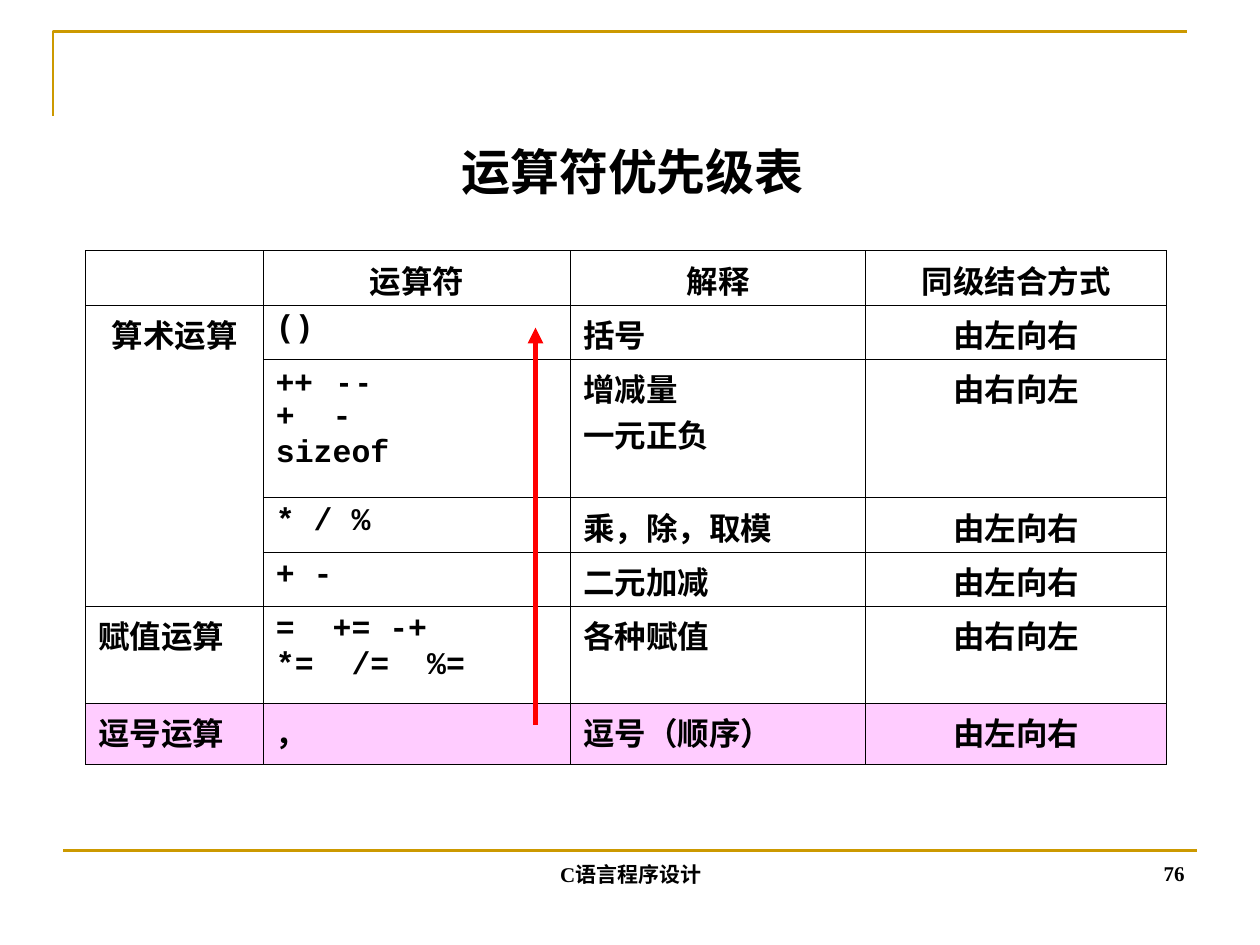
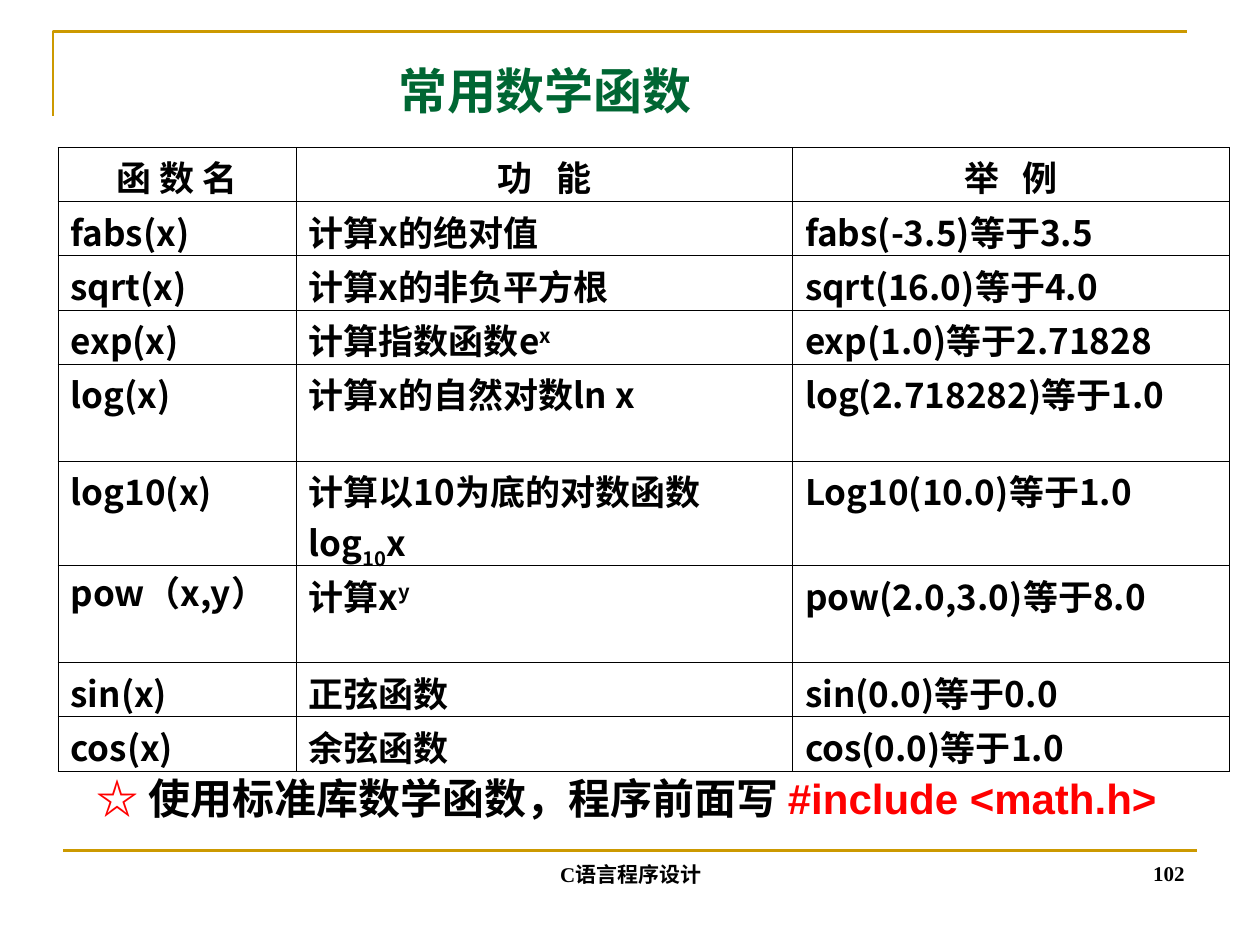
from lxml import etree
from pptx import Presentation
from pptx.dml.color import RGBColor
from pptx.enum import shapes, text
from pptx.oxml import ns
from pptx.util import Inches, Pt

GOLD, BLACK, RED, GREEN, PINK = "CC9900", "000000", "FF0000", "006633", "FFCCFF"
SERIF, SANS, MONO, CJK = "Times New Roman", "Arial", "Courier New", "Noto Sans CJK SC"
LEFT, CENTER, RIGHT = text.PP_ALIGN.LEFT, text.PP_ALIGN.CENTER, text.PP_ALIGN.RIGHT


def color(value):
    return RGBColor.from_string(value)


def inches(values):
    return [Inches(value) for value in values]


def add_xml(parent, tag, **attributes):
    return etree.SubElement(parent, ns.qn(tag), **attributes)


class Page:
    """The current slide with the style that all slides share."""

    def __init__(self, deck, number):
        self.slide = deck.slides.add_slide(deck.slide_layouts[5])
        self.shapes = self.slide.shapes
        self.frame()
        self.text_box((3.42, 6.59, 3.17, 0.5), [("C语言程序设计", {})], CENTER,
                      text.MSO_ANCHOR.BOTTOM, size=12)
        self.text_box((7.17, 6.58, 2.33, 0.5), [(str(number), {})], RIGHT,
                      text.MSO_ANCHOR.BOTTOM, size=12)

    def frame(self):
        """Corner bracket above and rule over the footer."""
        builder = self.shapes.build_freeform(Inches(0.42), Inches(0.92))
        corners = [(0.42, 0.25), (9.42, 0.25)]
        builder.add_line_segments([inches(point) for point in corners], close=False)
        bracket = builder.convert_to_shape()
        bracket.shadow.inherit = False
        bracket.fill.background()
        bracket.line.color.rgb = color(GOLD)
        bracket.line.width = Pt(1.5)
        self.line((0.5, 6.75), (9.5, 6.75), GOLD, 1.5)

    def line(self, start, end, tint, width, arrow=False):
        connector = self.shapes.add_connector(
            shapes.MSO_CONNECTOR.STRAIGHT, *inches(start + end))
        connector.line.color.rgb = color(tint)
        connector.line.width = Pt(width)
        if arrow:
            add_xml(connector.line._get_or_add_ln(), "a:tailEnd", type="triangle")
        add_xml(connector._element.spPr, "a:effectLst")

    def fill_paragraph(self, para, spans, align=LEFT, **style):
        """Fill a paragraph with (text, changes to the style) spans."""
        para.alignment = align
        for words, changes in spans:
            look = {"size": 18, "font": SERIF, "tint": BLACK, **style, **changes}
            span = para.add_run()
            span.text = words
            span.font.size = Pt(look["size"])
            span.font.bold = True
            span.font.color.rgb = color(look["tint"])
            span.font.name = look["font"]
            properties = span._r.get_or_add_rPr()
            add_xml(properties, "a:ea", typeface=CJK)
            for key in ("baseline", "spc"):
                if key in look:
                    properties.set(key, str(look[key]))

    def text_box(self, area, spans, align=LEFT, anchor=text.MSO_ANCHOR.TOP, **style):
        box = self.shapes.add_textbox(*inches(area))
        box.text_frame.word_wrap = True
        box.text_frame.vertical_anchor = anchor
        self.fill_paragraph(box.text_frame.paragraphs[0], spans, align, **style)

    def title(self, area, words, align, tint=BLACK):
        box = self.shapes.title
        box.left, box.top, box.width, box.height = inches(area)
        box.text_frame.auto_size = text.MSO_AUTO_SIZE.NONE
        box.text_frame.vertical_anchor = text.MSO_ANCHOR.MIDDLE
        self.fill_paragraph(box.text_frame.paragraphs[0], [(words, {})], align,
                            size=28, tint=tint)

    def table(self, corner, widths, heights):
        """Add an empty table with thin black borders and no fill."""
        area = (*corner, sum(widths), sum(heights))
        grid = self.shapes.add_table(len(heights), len(widths), *inches(area)).table
        grid.first_row = grid.horz_banding = False
        for column, width in zip(grid.columns, widths):
            column.width = Inches(width)
        for row, height in zip(grid.rows, heights):
            row.height = Inches(height)
        for cell in grid.iter_cells():
            properties = cell._tc.get_or_add_tcPr()
            for side in "LRTB":
                border = add_xml(properties, f"a:ln{side}", w=str(Pt(0.45)))
                fill = add_xml(border, "a:solidFill")
                add_xml(fill, "a:srgbClr", val=BLACK)
            cell.fill.background()
        return grid

    def fill_cell(self, cell, lines, align=LEFT, **style):
        frame = cell.text_frame
        for index, spans in enumerate(lines):
            para = frame.add_paragraph() if index else frame.paragraphs[0]
            self.fill_paragraph(para, spans, align, **style)


def precedence_slide(deck):
    page = Page(deck, 76)
    rows = [
        ("", "运算符", "解释", "同级结合方式"),
        ("算术运算", "()", "括号", "由左向右"),
        ("", "++   - -\n+  -\nsizeof", "增减量\n一元正负", "由右向左"),
        ("", "* / %", "乘，除，取模", "由左向右"),
        ("", "+ -", "二元加减", "由左向右"),
        ("赋值运算", "=  += -+\n*=  /=  %=", "各种赋值", "由右向左"),
        ("逗号运算", "，", "逗号（顺序）", "由左向右"),
    ]
    grid = page.table((0.68, 1.99), (1.41, 2.44, 2.34, 2.39),
                      (0.43, 0.43, 1.1, 0.43, 0.43, 0.77, 0.49))
    grid.cell(1, 0).merge(grid.cell(4, 0))
    column_fonts = (SANS, MONO, SERIF, SERIF)
    sans_cells = {(2, 2), (6, 1), (6, 2)}
    for r, row in enumerate(rows):
        for c, words in enumerate(row):
            if not words:
                continue
            font = SERIF if r == 0 else SANS if (r, c) in sans_cells else column_fonts[c]
            centred = r == 0 or c == 3 or (r, c) == (1, 0)
            lines = [[(line, {"font": SANS} if line.startswith("++") else {})]
                     for line in words.split("\n")]
            page.fill_cell(grid.cell(r, c), lines, CENTER if centred else LEFT, font=font)
    for cell in grid.rows[6].cells:
        cell.fill.solid()
        cell.fill.fore_color.rgb = color(PINK)
    page.line((4.25, 5.75), (4.25, 2.6), RED, 3, arrow=True)
    page.title((0.52, 1.08, 9, 0.56), "运算符优先级表", CENTER)


def functions_slide(deck):
    page = Page(deck, 102)
    page.title((3.06, 0.43, 3.94, 0.57), "常用数学函数", LEFT, GREEN)
    raised, lowered, spread = {"baseline": 30000}, {"baseline": -30000}, {"spc": 450}
    rows = [
        ("函 数 名", [("功 ", spread), ("能", {})], [("举 ", spread), ("例", {})]),
        ("fabs(x)", "计算x的绝对值", "fabs(-3.5)等于3.5"),
        ("sqrt(x)", "计算x的非负平方根", "sqrt(16.0)等于4.0"),
        ("exp(x)", [("计算指数函数e", {}), ("x", raised)], "exp(1.0)等于2.71828"),
        ("log(x)", "计算x的自然对数ln x", "log(2.718282)等于1.0"),
        ("log10(x)", [("计算以10为底的对数函数log", {}), ("10", lowered), ("x", {})],
         "Log10(10.0)等于1.0"),
        ("pow（x,y）", [("计算x", {}), ("y", raised)], "pow(2.0,3.0)等于8.0"),
        ("sin(x)", "正弦函数", "sin(0.0)等于0.0"),
        ("cos(x)", "余弦函数", "cos(0.0)等于1.0"),
    ]
    grid = page.table((0.46, 1.17), (1.89, 3.94, 3.47),
                      (0.43, 0.43, 0.43, 0.43, 0.77, 0.83, 0.77, 0.43, 0.43))
    for r, row in enumerate(rows):
        for c, content in enumerate(row):
            cell = grid.cell(r, c)
            cell.margin_top, cell.margin_bottom = Inches(0.03), 0
            spans = [(content, {})] if isinstance(content, str) else content
            page.fill_cell(cell, [spans], LEFT if r else CENTER, size=20, font=CJK)
    grid.cell(6, 0).text_frame.paragraphs[0].line_spacing = 0.92
    page.text_box((0.67, 6.08, 8.75, 0.5), [
        ("☆ ", {"tint": RED}),
        ("使用标准库数学函数，程序前面写 ", {"font": SANS}),
        ("#include <math.h>", {"font": SANS, "tint": RED}),
    ], size=24)


def main():
    deck = Presentation()
    deck.slide_width, deck.slide_height = Inches(10), Inches(7.5)
    precedence_slide(deck)
    functions_slide(deck)
    deck.save("out.pptx")


if __name__ == "__main__":
    main()
